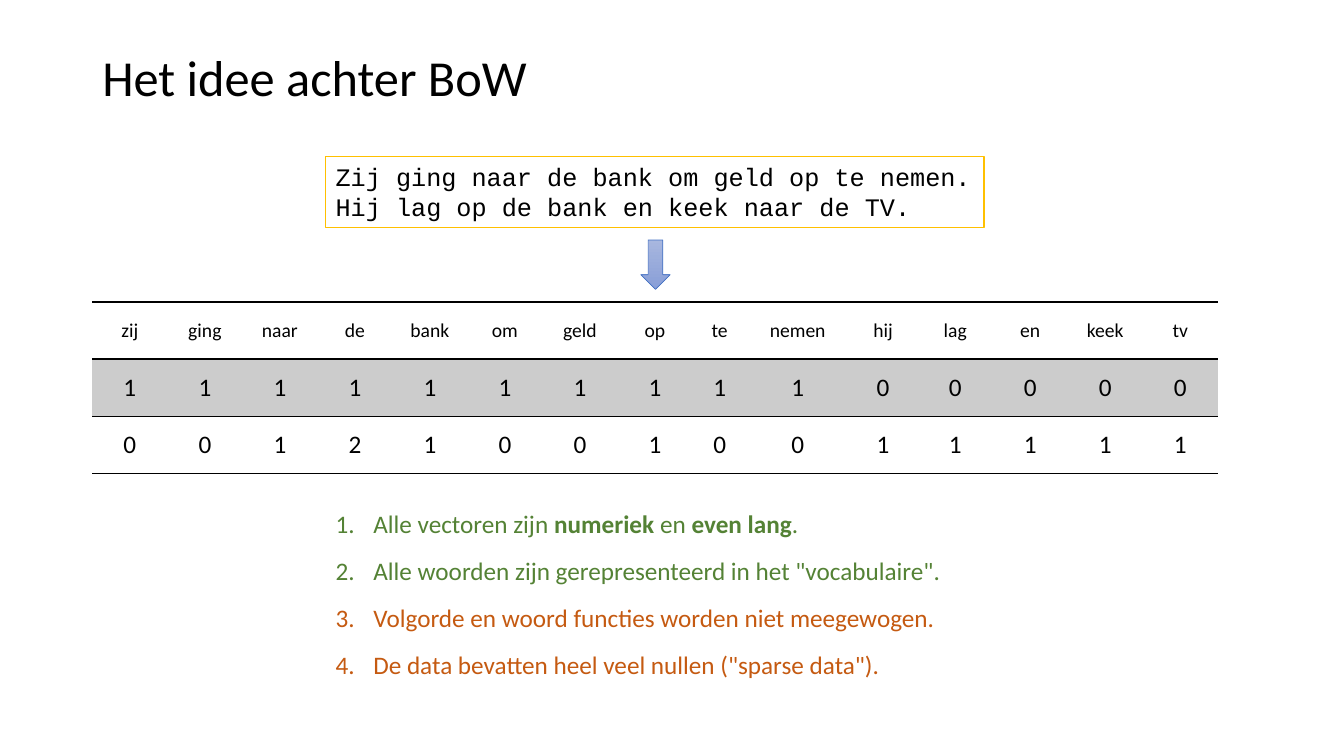
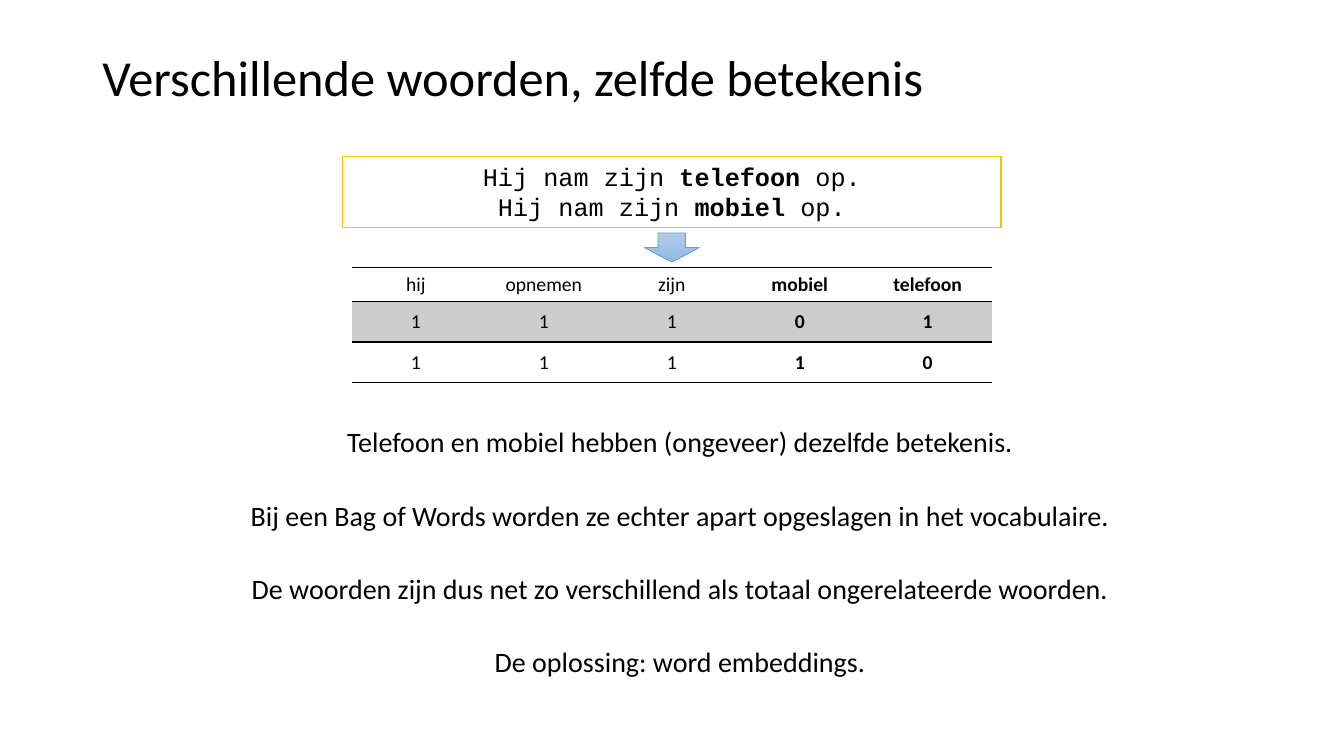
"""Build two slides that explain the bag-of-words representation."""

from lxml.etree import SubElement
from pptx import Presentation
from pptx.dml.color import RGBColor
from pptx.enum.shapes import MSO_SHAPE
from pptx.enum.text import MSO_ANCHOR, PP_ALIGN
from pptx.oxml.ns import qn
from pptx.util import Pt

BLACK, GOLD, GRAY, WHITE = "000000", "FFC000", "CCCCCC", "FFFFFF"
GREEN, ORANGE = "548235", "C55A11"
NO_GRID_STYLE = "{2D5ABB26-0587-4C30-8999-92F81FD0307C}"
ROW_EDGES = [("a:lnT", "a:lnB"), ("a:lnT",), ("a:lnB",)]


def rgb(value):
    """Turn a hex string into a colour."""
    return RGBColor.from_string(value)


def write(frame, lines, size, font="Calibri", align=PP_ALIGN.LEFT):
    """Write one paragraph per line; text between double asterisks is bold."""
    frame.text = "\n".join(lines)
    for para, line in zip(frame.paragraphs, lines):
        para.alignment = align
        para.text = ""
        for index, part in enumerate(line.split("**")):
            if part:
                span = para.add_run()
                span.text = part
                span.font.name = font
                span.font.size = Pt(size)
                span.font.bold = index % 2 == 1
                span.font.color.rgb = rgb(BLACK)


slides = [
    {
        "title": "Het idee achter BoW",
        "sentences": [
            "Zij ging naar de bank om geld op te nemen.",
            "Hij lag op de bank en keek naar de TV.",
        ],
        "sentence_left": 232.6,
        "sentence_align": PP_ALIGN.LEFT,
        "arrow": (457.7, 171.4, 21, 35.3),
        "arrow_fill": ("A8B7DF", "889ED7"),
        "arrow_line": "4472C4",
        "table_corner": (66, 215.7),
        "columns": [53.6] * 8 + [39, 72.5, 49.5] + [53.6] * 4,
        "rows": [40.8] * 3,
        "count_size": 18,
        "table": [
            "zij ging naar de bank om geld op te nemen hij lag en keek tv",
            "1 1 1 1 1 1 1 1 1 1 0 0 0 0 0",
            "0 0 1 2 1 0 0 1 0 0 1 1 1 1 1",
        ],
        "notes": [
            "Alle vectoren zijn **numeriek** en **even lang**.",
            'Alle woorden zijn gerepresenteerd in het "vocabulaire".',
            "Volgorde en woord functies worden niet meegewogen.",
            'De data bevatten heel veel nullen ("sparse data").',
        ],
        "notes_box": (232.6, 359.3, 470.2, 131),
        "notes_size": 18,
        "notes_align": PP_ALIGN.LEFT,
        "notes_gap": 12,
        "notes_spacing": 1.0,
        "number_colors": [GREEN, GREEN, ORANGE, ORANGE],
    },
    {
        "title": "Verschillende woorden, zelfde betekenis",
        "sentences": [
            "Hij nam zijn **telefoon** op.",
            "Hij nam zijn **mobiel** op.",
        ],
        "sentence_left": 244.8,
        "sentence_align": PP_ALIGN.CENTER,
        "arrow": (460.3, 166.5, 39.2, 20.7),
        "arrow_fill": ("B1CBE9", "93B9E4"),
        "arrow_line": "5B9BD5",
        "table_corner": (251.4, 190.8),
        "columns": [91.4] * 5,
        "rows": [24.5, 29, 29],
        "count_size": 14,
        "table": [
            "hij opnemen zijn **mobiel** **telefoon**",
            "1 1 1 **0** **1**",
            "1 1 1 **1** **0**",
        ],
        "notes": [
            "Telefoon en mobiel hebben (ongeveer) dezelfde betekenis.",
            "Bij een Bag of Words worden ze echter apart opgeslagen in het vocabulaire.",
            "De woorden zijn dus net zo verschillend als totaal ongerelateerde woorden.",
            "De oplossing: word embeddings.",
        ],
        "notes_box": (77.8, 297.4, 815.8, 200.9),
        "notes_size": 20,
        "notes_align": PP_ALIGN.CENTER,
        "notes_gap": 26,
        "notes_spacing": 1.1,
        "number_colors": [],
    },
]

deck = Presentation()
deck.slide_width, deck.slide_height = Pt(960), Pt(540)

for content in slides:
    page = deck.slides.add_slide(deck.slide_layouts[6])

    title = page.shapes.add_textbox(Pt(66), Pt(28.8), Pt(828), Pt(56.9))
    title.text_frame.word_wrap = True
    title.text_frame.vertical_anchor = MSO_ANCHOR.MIDDLE
    write(title.text_frame, [content["title"]], 36)
    title.text_frame.paragraphs[0].line_spacing = 0.9

    sentences = page.shapes.add_shape(
        MSO_SHAPE.RECTANGLE, Pt(content["sentence_left"]), Pt(111.6), Pt(470.2), Pt(50.9)
    )
    sentences.shadow.inherit = False
    sentences.fill.solid()
    sentences.fill.fore_color.rgb = rgb(WHITE)
    sentences.line.color.rgb = rgb(GOLD)
    sentences.line.width = Pt(1)
    sentences.text_frame.word_wrap = False
    sentences.text_frame.vertical_anchor = MSO_ANCHOR.TOP
    write(sentences.text_frame, content["sentences"], 18, "Courier New", content["sentence_align"])

    arrow = page.shapes.add_shape(MSO_SHAPE.DOWN_ARROW, *map(Pt, content["arrow"]))
    arrow.shadow.inherit = False
    arrow.fill.gradient()
    arrow.fill.gradient_angle = 270
    for stop, color in zip(arrow.fill.gradient_stops, content["arrow_fill"]):
        stop.color.rgb = rgb(color)
    arrow.line.color.rgb = rgb(content["arrow_line"])
    arrow.line.width = Pt(0.5)

    columns, rows = content["columns"], content["rows"]
    left, top = content["table_corner"]
    graphic = page.shapes.add_table(
        len(rows), len(columns), Pt(left), Pt(top), Pt(sum(columns)), Pt(sum(rows))
    )
    table = graphic.table
    table.first_row = table.horz_banding = False
    for style in graphic.element.iter(qn("a:tableStyleId")):
        style.text = NO_GRID_STYLE
    for column, width in zip(table.columns, columns):
        column.width = Pt(width)
    for row_index, words in enumerate(content["table"]):
        table.rows[row_index].height = Pt(rows[row_index])
        size = content["count_size"] if row_index else 14
        for cell, word in zip(table.rows[row_index].cells, words.split()):
            write(cell.text_frame, [word], size, align=PP_ALIGN.CENTER)
            cell.vertical_anchor = MSO_ANCHOR.MIDDLE
            for edge in ROW_EDGES[row_index]:
                border = SubElement(cell._tc.get_or_add_tcPr(), qn(edge), w=str(Pt(1)))
                paint = SubElement(border, qn("a:solidFill"))
                SubElement(paint, qn("a:srgbClr"), val=BLACK)
            if row_index == 1:
                cell.fill.solid()
                cell.fill.fore_color.rgb = rgb(GRAY)
            else:
                cell.fill.background()

    notes = page.shapes.add_textbox(*map(Pt, content["notes_box"]))
    notes.text_frame.word_wrap = True
    write(notes.text_frame, content["notes"], content["notes_size"], align=content["notes_align"])
    for para, color in zip(notes.text_frame.paragraphs, content["number_colors"]):
        properties = para._p.get_or_add_pPr()
        properties.set("marL", str(Pt(27)))
        properties.set("indent", str(Pt(-27)))
        SubElement(properties, qn("a:buAutoNum"), type="arabicPeriod")
        for span in para.runs:
            span.font.color.rgb = rgb(color)
    for index, para in enumerate(notes.text_frame.paragraphs):
        para.line_spacing = content["notes_spacing"]
        para.space_before = Pt(content["notes_gap"] if index else 0)

deck.save("out.pptx")
